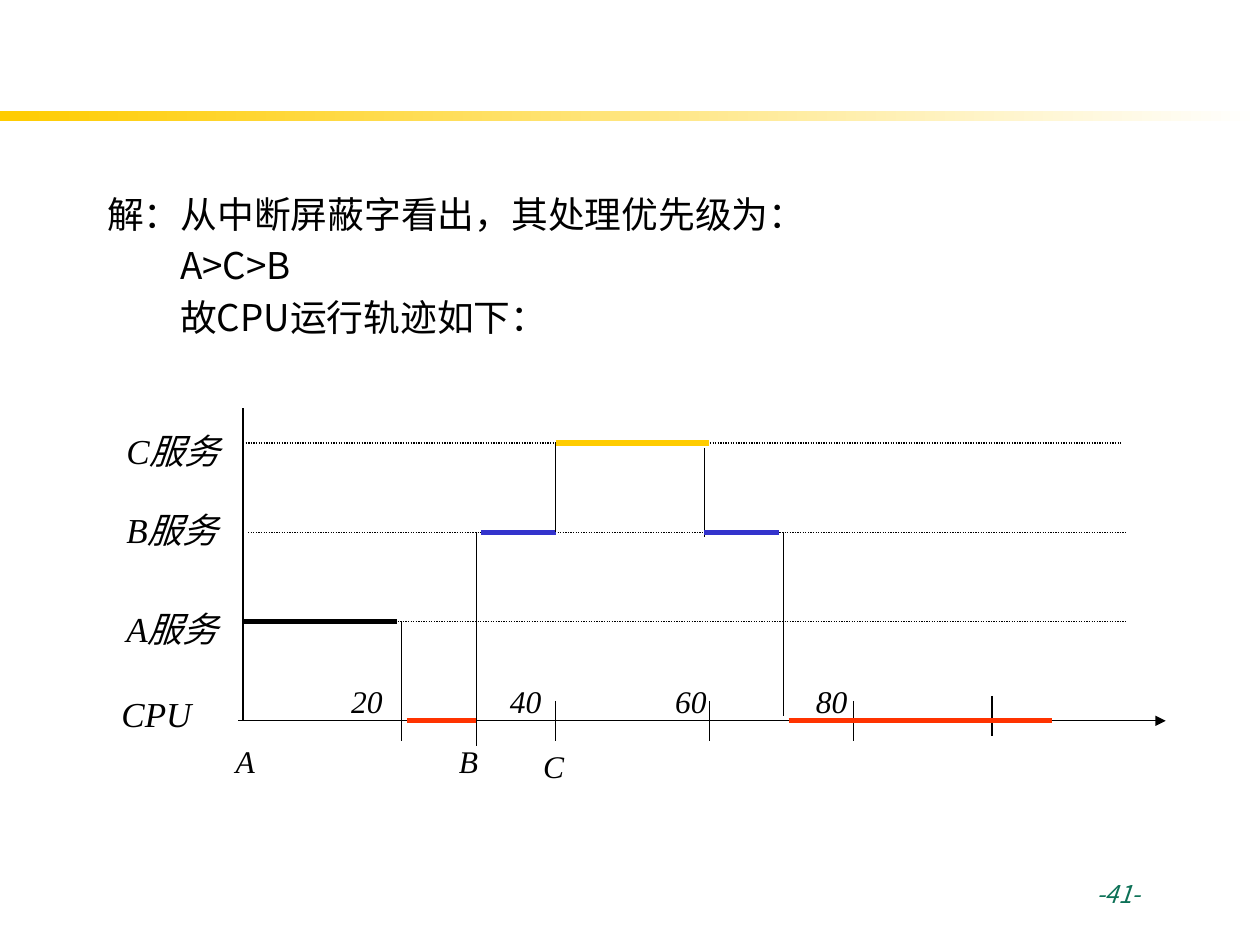
from dataclasses import dataclass

from lxml.etree import SubElement
from pptx import Presentation
from pptx.dml.color import RGBColor
from pptx.enum.dml import MSO_LINE_DASH_STYLE as Dash
from pptx.enum.shapes import MSO_CONNECTOR as Connector, MSO_SHAPE as Shape
from pptx.oxml.ns import qn
from pptx.util import Inches, Mm, Pt

SANS, SERIF = "Noto Sans CJK SC", "Times New Roman"
BLACK, GOLD, BLUE, RED, GREEN = "000000", "FFCC00", "3333CC", "FF3300", "0D7157"

# Chart grid: 1 mm steps, columns to the right and rows upward from the origin.
ORIGIN_X, ORIGIN_Y = 49, 145.3
CPU, A, B, C = 0, 20, 38, 56


@dataclass
class Line:
    start: tuple[float, float]
    end: tuple[float, float]
    color: str = BLACK
    width: float = 0.75
    dash: Dash | None = None
    arrow: bool = False


@dataclass
class Label:
    text: str
    column: float
    row: float
    size: float = 20
    columns: float = 30
    rows: float = 11
    tabs: tuple[float, ...] = ()


def rgb(color: str) -> RGBColor:
    return RGBColor.from_string(color)


def grid_point(column: float, row: float) -> tuple[int, int]:
    return Mm(ORIGIN_X + column), Mm(ORIGIN_Y - row)


def level(first: float, last: float, row: float, color: str) -> Line:
    """Thick bar for the time one program runs."""
    return Line((first, row), (last, row), color, 3)


def upright(column: float, low: float, high: float) -> Line:
    return Line((column, high), (column, low))


def guide(first: float, last: float, row: float) -> Line:
    return Line((first, row), (last, row), dash=Dash.ROUND_DOT)


def draw_line(page, line: Line) -> None:
    link = page.shapes.add_connector(
        Connector.STRAIGHT, *grid_point(*line.start), *grid_point(*line.end))
    link.line.color.rgb = rgb(line.color)
    link.line.width = Pt(line.width)
    if line.dash is not None:
        link.line.dash_style = line.dash
    if line.arrow:
        SubElement(link.line._get_or_add_ln(), qn("a:tailEnd"), type="triangle")
    SubElement(link._element.spPr, qn("a:effectLst"))


def add_text(para, text: str, *, size: float, font: str,
             color: str = BLACK, italic: bool = False) -> None:
    span = para.add_run()
    span.text = text
    span.font.size = Pt(size)
    span.font.name = font
    span.font.italic = italic
    span.font.color.rgb = rgb(color)
    SubElement(span.font._element, qn("a:ea"), typeface=SANS)


def draw_label(page, label: Label) -> None:
    box = page.shapes.add_textbox(*grid_point(label.column, label.row),
                                  Mm(label.columns), Mm(label.rows))
    box.text_frame.word_wrap = True
    para = box.text_frame.paragraphs[0]
    if label.tabs:
        tab_list = SubElement(para._p.get_or_add_pPr(), qn("a:tabLst"))
        for stop in label.tabs:
            SubElement(tab_list, qn("a:tab"), pos=str(Mm(stop)), algn="l")
    add_text(para, label.text, size=label.size, font=SERIF, italic=True)


def draw_header_bar(page, width: int) -> None:
    bar = page.shapes.add_shape(Shape.RECTANGLE, 0, Inches(0.88), width, Inches(0.08))
    bar.shadow.inherit = False
    bar.line.fill.background()
    bar.fill.gradient()
    bar.fill.gradient_angle = 0
    for stop, position, color in zip(bar.fill.gradient_stops, (0, 1), (GOLD, "FFFFFF")):
        stop.position = position
        stop.color.rgb = rgb(color)


def fill_body(body, lines: list[str]) -> None:
    body.left, body.top = Inches(0.75), Inches(1.47)
    body.width, body.height = Inches(8.5), Inches(1.61)
    hanging = Inches(0.58)
    for index, text in enumerate(lines):
        para = (body.text_frame.add_paragraph() if index
                else body.text_frame.paragraphs[0])
        properties = para._p.get_or_add_pPr()
        properties.set("marL", str(hanging))
        properties.set("indent", str(0 if index else -hanging))
        SubElement(properties, qn("a:buNone"))
        para.line_spacing = 1.0
        para.space_before = Pt(4.2 if index else 0)
        add_text(para, text, size=21, font=SANS)


def draw_page_number(page, text: str) -> None:
    box = page.shapes.add_textbox(Inches(8.6), Inches(6.93), Inches(1.05), Inches(0.52))
    box.text_frame.word_wrap = True
    add_text(box.text_frame.paragraphs[0], text,
             size=14, font=SANS, color=GREEN, italic=True)


LINES = [
    Line((-1, CPU), (186, CPU), arrow=True),
    upright(0, CPU, 63),
    guide(0, 177, C), guide(1, 178, B), guide(1, 178, A),
    *(upright(column, -4, 4) for column in (32, 63, 94, 123)),
    upright(151, -3, 5),
    upright(47, -5, 3),
    level(0, 31, A, BLACK), upright(32, CPU, A),
    level(33, 47, CPU, RED), upright(47, 1, B),
    level(48, 63, B, BLUE), upright(63, B, C),
    level(63, 94, C, GOLD), upright(93, B - 1, C - 1),
    level(93, 108, B, BLUE), upright(109, 1, B),
    level(110, 163, CPU, RED),
]

LABELS = [
    Label("C服务", -26, 60), Label("B服务", -26, 44), Label("A服务", -26, 24),
    Label("CPU", -27, 7),
    Label("A", -4, -3, 18, 13, 10),
    Label("B", 41, -3, 18, 13, 10),
    Label("C", 58, -4, 18, 13, 10),
    Label("20\t40\t60\t80", 19.3, 9, 18, 114, 10, tabs=(32, 65.3, 93.7)),
]


def main() -> None:
    deck = Presentation()
    deck.slide_width, deck.slide_height = Inches(10), Inches(7.5)
    page = deck.slides.add_slide(deck.slide_layouts[1])
    title = page.shapes.title._element
    title.getparent().remove(title)
    draw_header_bar(page, deck.slide_width)
    fill_body(page.placeholders[1], [
        "解：从中断屏蔽字看出，其处理优先级为：", "A>C>B", "故CPU运行轨迹如下："])
    for line in LINES:
        draw_line(page, line)
    for label in LABELS:
        draw_label(page, label)
    draw_page_number(page, "-41-")
    deck.save("out.pptx")


if __name__ == "__main__":
    main()
